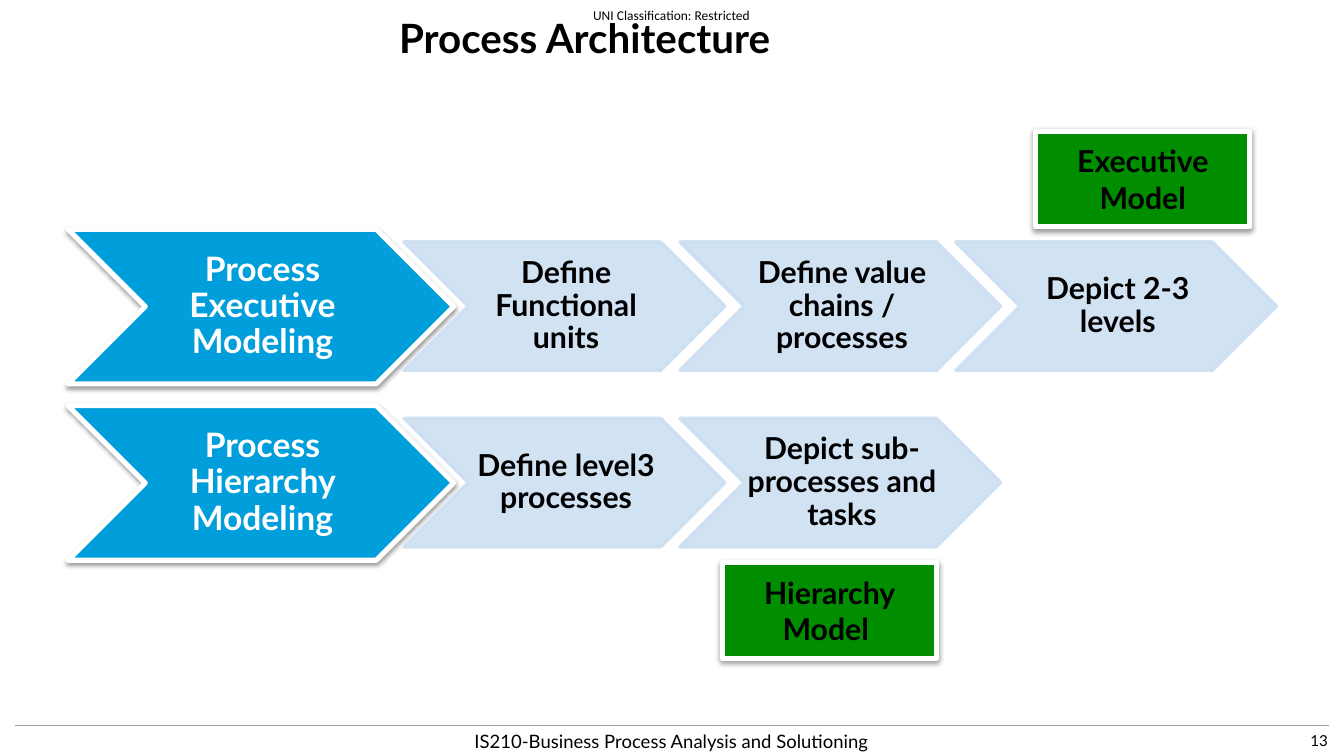
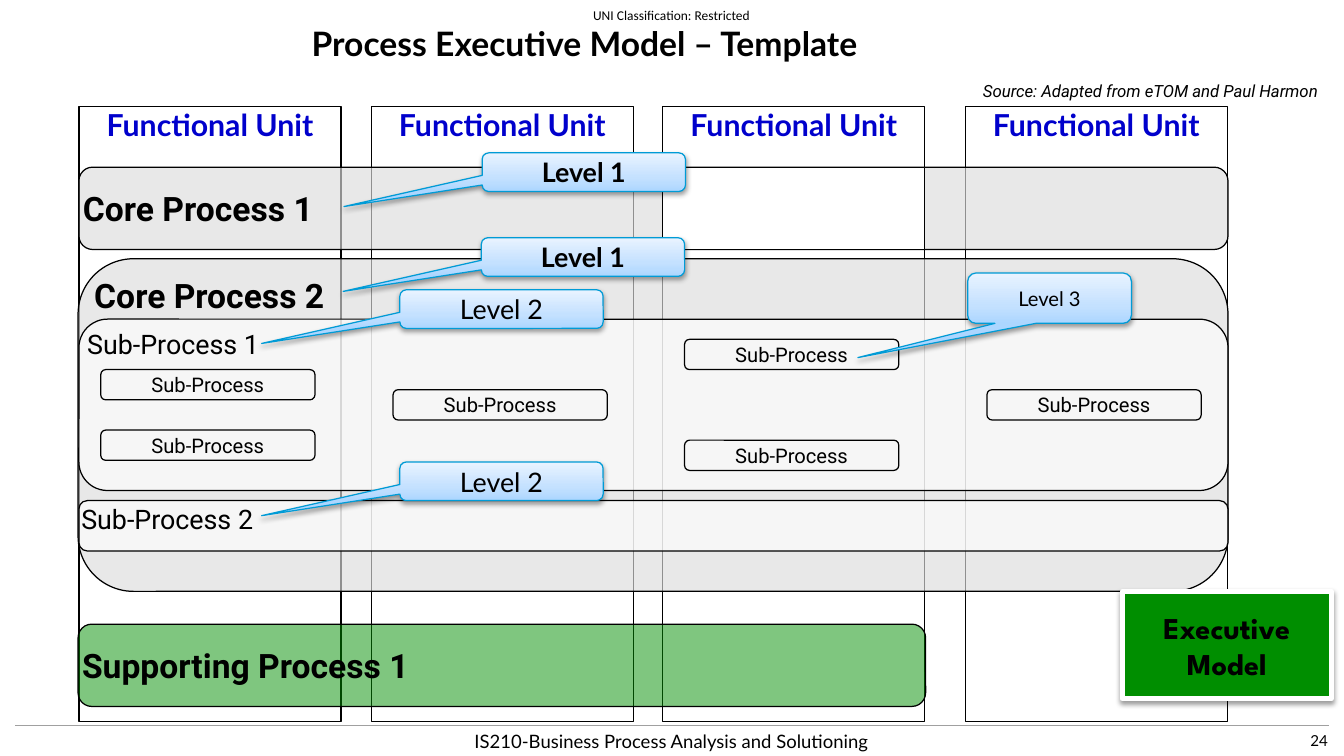
"""Build two process architecture slides."""
import copy

import lxml.etree
import pptx
import pptx.dml.color
import pptx.enum.shapes
import pptx.enum.text
import pptx.oxml.ns
import pptx.util

Pt = pptx.util.Pt
RGBColor = pptx.dml.color.RGBColor
SHAPE = pptx.enum.shapes.MSO_SHAPE
ALIGN = pptx.enum.text.PP_ALIGN
ANCHOR = pptx.enum.text.MSO_ANCHOR
qn = pptx.oxml.ns.qn

BLACK = RGBColor(0x00, 0x00, 0x00)
WHITE = RGBColor(0xFF, 0xFF, 0xFF)
RULE = RGBColor(0xA0, 0xA0, 0xA0)
CYAN = RGBColor(0x00, 0x9E, 0xDB)
PALE_BLUE = RGBColor(0xCC, 0xDF, 0xF1)
GREEN = RGBColor(0x00, 0x8E, 0x00)
UNIT_BLUE = RGBColor(0x00, 0x00, 0xCC)
GREY = RGBColor(0xDD, 0xDD, 0xDD)
CALLOUT_LINE = RGBColor(0x00, 0x9B, 0xD6)
CALLOUT_STOPS = (
    (0, RGBColor(0xAC, 0xD6, 0xFF)),
    (0.35, RGBColor(0xC4, 0xE1, 0xFF)),
    (1, RGBColor(0xE9, 0xF3, 0xFF)),
)
INSETS = (7.2, 3.6, 7.2, 3.6)
NO_INSETS = (0, 0, 0, 0)


class Deck:
    """Hold the shared style and the current slide."""

    def __init__(self):
        self.prs = pptx.Presentation()
        self.prs.slide_width, self.prs.slide_height = Pt(800), Pt(450)
        self.s = None

    def slide(self, title, number, size, top, height):
        """Add a slide with title, rule, classification and footer."""
        self.s = self.prs.slides.add_slide(self.prs.slide_layouts[5])
        self.rule(9, 432, 791, 432)
        self.label("UNI Classification: Restricted", (341, 0, 117.5, 18), 8,
                   font="Calibri", insets=NO_INSETS)
        sp = self.s.shapes.title
        self.place(sp, (161.5, top, 373, height))
        self.set_text(sp, title, size, bold=True, anchor=ANCHOR.BOTTOM)
        self.label(number, (617.5, 429, 180, 24), 9, align=ALIGN.RIGHT)
        self.label("IS210-Business Process Analysis and Solutioning",
                   (218, 429, 363.5, 24), 11)

    def place(self, sp, box):
        """Move and size a shape."""
        sp.left, sp.top, sp.width, sp.height = (Pt(v) for v in box)

    def set_text(self, sp, text, size, font="Lato", color=BLACK, bold=False,
                 italic=False, align=ALIGN.CENTER, anchor=ANCHOR.MIDDLE,
                 insets=INSETS, wrap=True, spacing=None):
        """Fill a shape with one formatted run."""
        tf = sp.text_frame
        tf.auto_size = pptx.enum.text.MSO_AUTO_SIZE.NONE
        tf.word_wrap = wrap
        tf.vertical_anchor = anchor
        (tf.margin_left, tf.margin_top,
         tf.margin_right, tf.margin_bottom) = (Pt(v) for v in insets)
        p = tf.paragraphs[0]
        p.alignment = align
        p.line_spacing = spacing
        r = p.add_run()
        r.text = text
        r.font.name, r.font.size = font, Pt(size)
        r.font.bold, r.font.italic = bold, italic
        r.font.color.rgb = color

    def label(self, text, box, size, **style):
        """Add a text box."""
        sp = self.s.shapes.add_textbox(*(Pt(v) for v in box))
        self.set_text(sp, text, size, **style)

    def rule(self, x1, y1, x2, y2):
        """Add a thin straight line."""
        c = self.s.shapes.add_connector(
            pptx.enum.shapes.MSO_CONNECTOR.STRAIGHT,
            Pt(x1), Pt(y1), Pt(x2), Pt(y2))
        c.line.color.rgb, c.line.width = RULE, Pt(0.75)
        lxml.etree.SubElement(c._element.spPr, qn("a:effectLst"))

    def shape(self, kind, box, fill=None, line=BLACK, width=0.75, alpha=None):
        """Add a preset shape without shadow."""
        sp = self.s.shapes.add_shape(kind, *(Pt(v) for v in box))
        sp.shadow.inherit = False
        if fill is None:
            sp.fill.background()
        else:
            sp.fill.solid()
            sp.fill.fore_color.rgb = fill
        sp.line.color.rgb, sp.line.width = line, Pt(width)
        if alpha:
            self.fade(sp._element.spPr, alpha)
        return sp

    def fade(self, parent, percent):
        """Make a solid fill partly transparent."""
        color = parent.find(qn("a:solidFill")).find(qn("a:srgbClr"))
        lxml.etree.SubElement(color, qn("a:alpha"), val=str(percent * 1000))

    def cast_shadow(self, sp):
        """Give a shape a soft shadow below it."""
        effects = sp._element.spPr.find(qn("a:effectLst"))
        shadow = lxml.etree.SubElement(
            effects, qn("a:outerShdw"), blurRad=str(Pt(3.1)),
            dist=str(Pt(1.6)), dir="5400000", rotWithShape="0")
        color = lxml.etree.SubElement(shadow, qn("a:srgbClr"), val="000000")
        lxml.etree.SubElement(color, qn("a:alpha"), val="38000")

    def chevron_row(self, top, lead, steps):
        """Add a leading chevron followed by paler steps."""
        style = dict(bold=True, insets=(2, 0.7, 0, 0.7), spacing=0.9)
        sp = self.shape(SHAPE.CHEVRON, (40.5, top, 229.5, 92), CYAN, WHITE, 3)
        self.cast_shadow(sp)
        self.set_text(sp, lead, 20, color=WHITE, **style)
        for i, step in enumerate(steps):
            box = (240.5 + 164.2 * i, top + 7.5, 191, 76.5)
            sp = self.shape(SHAPE.CHEVRON, box, PALE_BLUE, PALE_BLUE, 2, 90)
            self.fade(sp._element.spPr.find(qn("a:ln")), 90)
            self.set_text(sp, step, 18, **style)

    def model_tag(self, text, box, font="Lato"):
        """Add a green tag naming a model."""
        sp = self.shape(SHAPE.RECTANGLE, box, GREEN, WHITE, 3)
        self.cast_shadow(sp)
        self.set_text(sp, text, 18, font=font, bold=True)

    def unit(self, left):
        """Add a functional unit column."""
        sp = self.shape(SHAPE.RECTANGLE, (left, 63.5, 156, 366))
        self.set_text(sp, "Functional Unit", 18, color=UNIT_BLUE, bold=True,
                      anchor=ANCHOR.TOP, insets=NO_INSETS, wrap=False)

    def band(self, text, box, fill, size, alpha=65, anchor=ANCHOR.TOP,
             kind=SHAPE.ROUNDED_RECTANGLE):
        """Add a translucent process band across the units."""
        sp = self.shape(kind, box, fill, alpha=alpha)
        self.set_text(sp, text, size, font="Roboto", bold=size == 20,
                      align=ALIGN.LEFT, anchor=anchor, insets=NO_INSETS,
                      wrap=False)

    def sub_process(self, left, top):
        """Add a small sub-process box."""
        sp = self.shape(SHAPE.ROUNDED_RECTANGLE, (left, top, 127.5, 18))
        self.set_text(sp, "Sub-Process", 12, font="Roboto", wrap=False)

    def callout(self, text, box, size=16, bold=False, tail=(-1.18, 0.89)):
        """Add a gradient callout whose tail points at a process."""
        sp = self.shape(SHAPE.ROUNDED_RECTANGULAR_CALLOUT, box,
                        line=CALLOUT_LINE)
        sp.adjustments[0], sp.adjustments[1] = tail
        sp.fill.gradient()
        sp.fill.gradient_angle = 90
        stops = next(sp._element.spPr.iter(qn("a:gsLst")))
        stops.append(copy.deepcopy(stops[0]))
        for stop, (position, color) in zip(sp.fill.gradient_stops,
                                           CALLOUT_STOPS):
            stop.position, stop.color.rgb = position, color
        self.cast_shadow(sp)
        self.set_text(sp, text, size, bold=bold)


def architecture(deck):
    """Build the process architecture slide."""
    deck.slide("Process Architecture", "13", 24, 4.5, 36)
    deck.chevron_row(136.5, "Process Executive Modeling", (
        "Define Functional units", "Define value chains / processes",
        "Depict 2-3 levels"))
    deck.chevron_row(241.5, "Process Hierarchy Modeling", (
        "Define level3 processes", "Depict sub-processes and tasks"))
    deck.model_tag("Executive Model", (616.5, 78, 127.5, 57))
    deck.model_tag("Hierarchy Model ", (430, 335, 127.5, 57))


def executive_template(deck):
    """Build the executive model template slide."""
    deck.slide("Process Executive Model – Template", "24", 20, 9.5, 31.5)
    units = (47, 221, 394.5, 574.5)
    for left in units:
        deck.unit(left)
    deck.band("Core Process 1", (47, 99.5, 684, 49), GREY, 20,
              anchor=ANCHOR.MIDDLE)
    deck.shape(SHAPE.RECTANGLE, (units[2], 99.5, 156, 49), WHITE)
    deck.callout("Level 1", (287, 91, 121, 23), bold=True)
    deck.band("Core Process 2", (46.5, 154, 684.5, 198), GREY, 20,
              kind=SHAPE.FLOWCHART_ALTERNATE_PROCESS)
    deck.band("Sub-Process 1", (47, 190, 684, 102), WHITE, 16)
    deck.band("Sub-Process 2", (47, 298, 684, 30), WHITE, 16)
    for left, tops in zip(units, ((220, 256), (232,), (202, 262), (232,))):
        for top in tops:
            deck.sub_process(left + 13, top)
    deck.callout("Level 3", (576, 162.5, 97.5, 30), 12, tail=(-1.17, 1.18))
    deck.callout("Level 1", (286.5, 141.5, 121, 23), bold=True)
    for top in (172.5, 275):
        deck.callout("Level 2", (238, top, 121, 23))
    deck.label("Source: Adapted from eTOM and Paul Harmon",
               (578, 44.5, 222, 19.5), 10, font="Roboto", italic=True,
               align=ALIGN.LEFT, anchor=ANCHOR.TOP, wrap=False)
    deck.model_tag("Executive Model", (668, 352, 124.5, 64),
                   font="League Spartan")
    deck.band("Supporting Process 1", (46.5, 371.5, 504.5, 49), GREEN, 20, 50,
              ANCHOR.MIDDLE)


def main():
    """Build and save the presentation."""
    deck = Deck()
    architecture(deck)
    executive_template(deck)
    deck.prs.save("out.pptx")


if __name__ == "__main__":
    main()
